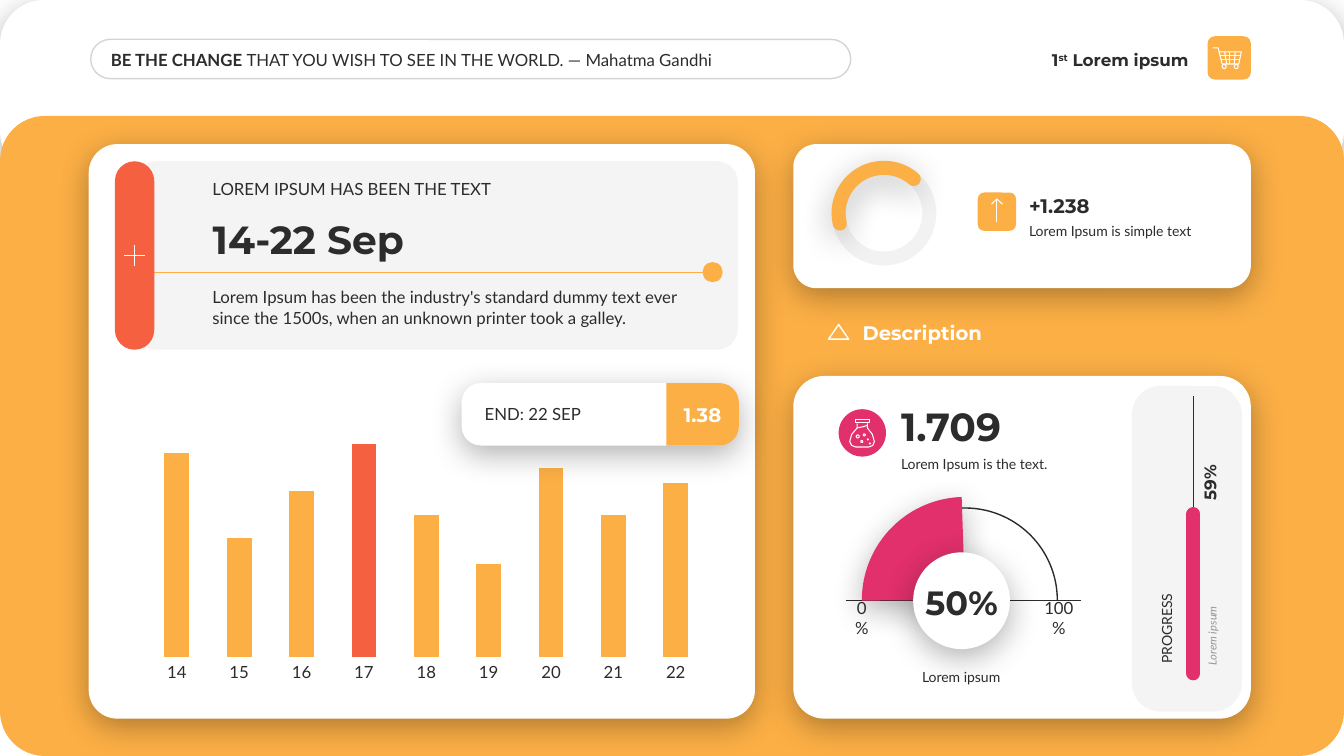
import math
from dataclasses import dataclass
from typing import Optional

from lxml import etree
from pptx import Presentation
from pptx import util as u
from pptx.chart import data
from pptx.dml import color
from pptx.enum import chart as ch, shapes, text
from pptx.oxml import ns, parse_xml

COLUMNS, ROWS = 160, 90
CELL = u.Inches(7.5) / ROWS
COLORS = {"white": "FFFFFF", "ink": "2C2C2C", "amber": "FCAF45", "coral": "F56040",
          "pink": "E1306C", "grey": "969696", "black": "000000"}
KIND = shapes.MSO_SHAPE
ROUND, OVAL, ARC = KIND.ROUNDED_RECTANGLE, KIND.OVAL, KIND.ARC
TOP, MIDDLE, BOTTOM = text.MSO_ANCHOR.TOP, text.MSO_ANCHOR.MIDDLE, text.MSO_ANCHOR.BOTTOM
LEFT, CENTER, RIGHT = text.PP_ALIGN.LEFT, text.PP_ALIGN.CENTER, text.PP_ALIGN.RIGHT


@dataclass
class Panel:
    box: tuple
    kind: int = ROUND
    fill: Optional[str] = None
    alpha: int = 100
    adjust: tuple = ()
    line: Optional[str] = None
    width: float = 1
    shadow: bool = False
    rounded_cap: bool = False
    turn: int = 0


@dataclass
class Rail:
    start: tuple
    end: tuple
    tint: str
    width: float
    rounded_cap: bool = False


@dataclass
class Run:
    words: str
    bold: bool = False
    baseline: int = 0


def cells(*values: float) -> list:
    return [u.Emu(round(value * CELL)) for value in values]


def rgb(name: str) -> color.RGBColor:
    return color.RGBColor.from_string(COLORS[name])


def set_cap(shape) -> None:
    shape.element.spPr.find(ns.qn("a:ln")).set("cap", "rnd")


def draw_panel(slide, panel: Panel) -> None:
    shape = slide.shapes.add_shape(panel.kind, *cells(*panel.box))
    shape.rotation = panel.turn
    for index, value in enumerate(panel.adjust):
        shape.adjustments[index] = value
    if panel.fill:
        shape.fill.solid()
        shape.fill.fore_color.rgb = rgb(panel.fill)
    else:
        shape.fill.background()
    if panel.line:
        shape.line.color.rgb = rgb(panel.line)
        shape.line.width = u.Pt(panel.width)
    else:
        shape.line.fill.background()
    if panel.rounded_cap:
        set_cap(shape)
    properties = shape.element.spPr
    if panel.alpha < 100:
        for tint in properties.iter(ns.qn("a:srgbClr")):
            etree.SubElement(tint, ns.qn("a:alpha"), val=str(panel.alpha * 1000))
    shape.shadow.inherit = False
    if panel.shadow:
        effects = properties.find(ns.qn("a:effectLst"))
        outer = etree.SubElement(effects, ns.qn("a:outerShdw"), blurRad=str(u.Pt(23)),
                                 dist=str(u.Pt(6)), dir="5400000", algn="t", rotWithShape="0")
        tint = etree.SubElement(outer, ns.qn("a:srgbClr"), val=COLORS["black"])
        etree.SubElement(tint, ns.qn("a:alpha"), val="30000")


def draw_rail(slide, rail: Rail) -> None:
    line = slide.shapes.add_connector(shapes.MSO_CONNECTOR.STRAIGHT, *cells(*rail.start, *rail.end))
    line.line.color.rgb = rgb(rail.tint)
    line.line.width = u.Pt(rail.width)
    if rail.rounded_cap:
        set_cap(line)
    etree.SubElement(line.element.spPr, ns.qn("a:effectLst"))


def circle(x: float, y: float, radius: float) -> list:
    angles = [math.tau * step / 12 for step in range(13)]
    return [(x + radius * math.cos(a), y + radius * math.sin(a)) for a in angles]


def draw_icon(slide, strokes: list) -> None:
    first, *others = [[tuple(cells(*point)) for point in stroke] for stroke in strokes]
    builder = slide.shapes.build_freeform(*first[0])
    builder.add_line_segments(first[1:], close=False)
    for stroke in others:
        builder.move_to(*stroke[0])
        builder.add_line_segments(stroke[1:], close=False)
    icon = builder.convert_to_shape()
    icon.fill.background()
    icon.line.color.rgb = rgb("white")
    icon.line.width = u.Pt(0.75)
    icon.shadow.inherit = False


def write(slide, box: tuple, *runs: Run, size: float = 12, font: str = "Lato", tint: str = "ink",
          anchor=TOP, align=LEFT, insets: tuple = (0.1, 0.05, 0.1, 0.05), italic: bool = False,
          turn: int = 0, after: float = 0, title: bool = False) -> None:
    if title:
        label = slide.shapes.title
        slide.shapes.element.append(label.element)
        label.left, label.top, label.width, label.height = cells(*box)
    else:
        label = slide.shapes.add_textbox(*cells(*box))
    label.rotation = turn
    frame = label.text_frame
    frame.word_wrap = True
    frame.auto_size = text.MSO_AUTO_SIZE.NONE
    frame.vertical_anchor = anchor
    (frame.margin_left, frame.margin_top,
     frame.margin_right, frame.margin_bottom) = map(u.Inches, insets)
    paragraph = frame.paragraphs[0]
    paragraph.alignment = align
    paragraph.space_after = u.Pt(after)
    for part in runs:
        run = paragraph.add_run()
        run.text = part.words
        run.font.size, run.font.name = u.Pt(size), font
        run.font.bold, run.font.italic = part.bold, italic
        run.font.color.rgb = rgb(tint)
    for part, properties in zip(runs, label.element.iter(ns.qn("a:rPr"))):
        if part.baseline:
            properties.set("baseline", str(part.baseline * 1000))


def draw_days(slide) -> None:
    days = data.CategoryChartData()
    days.categories = [str(day) for day in range(14, 23)]
    days.add_series("Series 1", (96, 56, 78, 100, 67, 44, 89, 67, 82))
    chart = slide.shapes.add_chart(ch.XL_CHART_TYPE.COLUMN_CLUSTERED,
                                   *cells(15.96, 49.32, 69.6, 32.52), days).chart
    chart.has_legend = chart.has_title = False
    chart.font.size, chart.font.name = u.Pt(12), "Lato"
    chart.font.color.rgb = rgb("ink")
    chart.value_axis.visible = chart.value_axis.has_major_gridlines = False
    chart.value_axis.minimum_scale, chart.value_axis.maximum_scale = 0, 100
    chart.category_axis.major_tick_mark = ch.XL_TICK_MARK.NONE
    chart.category_axis.format.line.fill.background()
    plot = chart.plots[0]
    plot.gap_width, plot.vary_by_categories = 150, False
    bars = plot.series[0]
    for fill, tint in ((bars.format.fill, "amber"), (bars.points[3].format.fill, "coral")):
        fill.solid()
        fill.fore_color.rgb = rgb(tint)
    area = chart.element.find(".//" + ns.qn("c:plotArea"))
    for layout in area.findall(ns.qn("c:layout")):
        area.remove(layout)
    area.insert(0, parse_xml(
        f'<c:layout {ns.nsdecls("c")}><c:manualLayout><c:layoutTarget val="inner"/>'
        '<c:xMode val="edge"/><c:yMode val="edge"/><c:x val="0.02"/><c:y val="0.11"/>'
        '<c:w val="0.96"/><c:h val="0.78"/></c:manualLayout></c:layout>'))


CARDS = [
    Panel((0, 0, COLUMNS, 20.88), fill="white", adjust=(0.25,), shadow=True),
    Panel((0, 13.8, COLUMNS, 76.2), fill="amber", adjust=(0.07,)),
    Panel((10.8, 4.68, 90.48, 4.68), adjust=(0.5,), line="ink", alpha=20),
    Panel((143.76, 4.32, 5.16, 5.16), fill="amber"),
    Panel((10.56, 17.16, 79.32, 68.4), fill="white", adjust=(0.05,), shadow=True),
    Panel((16.08, 19.2, 71.76, 22.44), fill="ink", alpha=5, adjust=(0.11,)),
    Panel((94.44, 17.16, 54.48, 17.16), fill="white", adjust=(0.16,), shadow=True),
    Panel((99.84, 19.98, 10.8, 10.8), OVAL, line="ink", width=10, alpha=5),
    Panel((99.84, 19.98, 10.8, 10.8), ARC, adjust=(100.01, 186.69), line="amber", width=10,
          shadow=True, rounded_cap=True),
    Panel((116.4, 22.92, 4.56, 4.56), fill="amber"),
    Panel((98.64, 38.64, 2.4, 1.74), KIND.ISOSCELES_TRIANGLE, line="white"),
    Panel((94.44, 44.76, 54.48, 40.8), fill="white", adjust=(0.09,), shadow=True),
    Panel((134.76, 45.96, 13.08, 38.76), fill="ink", alpha=5, adjust=(0.26,)),
    Panel((99.84, 48.72, 5.64, 5.64), OVAL, fill="pink"),
    Panel((103.92, 60.48, 21.96, 21.96), ARC, adjust=(107.89, 0), line="ink"),
]
RAILS = [
    Rail((17.28, 32.4), (83.64, 32.4), "amber", 0.5),
    Rail((100.68, 71.52), (128.64, 71.52), "ink", 1),
    Rail((142.08, 80.16), (142.08, 47.16), "ink", 0.5),
    Rail((142.08, 80.16), (142.08, 61.2), "pink", 10, True),
]
OVERLAYS = [
    Panel((83.64, 31.2, 2.4, 2.4), OVAL, fill="amber"),
    Panel((13.68, 19.2, 4.68, 22.44), fill="coral", adjust=(0.5,)),
    Panel((54.96, 45.6, 32.88, 7.44), fill="white", adjust=(0.31,), shadow=True),
    Panel((79.92, 45, 7.44, 8.64), KIND.ROUND_2_SAME_RECTANGLE, fill="amber",
          adjust=(0.31, 0), turn=90),
    Panel((102.6, 59.16, 24.6, 24.6), ARC, fill="pink", adjust=(107.89, 160.84), shadow=True),
    Panel((108.72, 65.76, 11.52, 11.52), OVAL, fill="white", shadow=True),
]
CART = [
    [(144.36, 5.7), (145.02, 5.7), (145.5, 7.62), (147.48, 7.62), (147.78, 6.18), (145.14, 6.18)],
    [(145.26, 6.66), (147.66, 6.66)], [(145.38, 7.14), (147.6, 7.14)],
    [(145.8, 6.18), (146.04, 7.62)], [(146.4, 6.18), (146.4, 7.62)],
    [(147.06, 6.18), (146.94, 7.62)], circle(145.74, 7.92, 0.24), circle(147.18, 7.92, 0.24),
]
PLUS = [[(14.76, 30.42), (17.28, 30.42)], [(16.02, 29.16), (16.02, 31.68)]]
ARROW = [[(118.68, 26.4), (118.68, 23.7)], [(118.02, 24.3), (118.68, 23.7), (119.34, 24.3)]]
FLASK = [
    [(101.82, 49.98), (103.5, 49.98), (103.5, 50.34), (101.82, 50.34), (101.82, 49.98)],
    [(102.06, 50.4), (102.06, 50.94), (101.4, 51.72), (101.16, 52.56), (101.4, 53.04),
     (101.88, 53.22), (103.44, 53.22), (103.92, 53.04), (104.1, 52.56), (103.86, 51.72),
     (103.26, 50.94), (103.26, 50.4)],
    [(102.06, 50.94), (102.72, 50.82), (103.26, 50.64)],
    circle(102.12, 51.96, 0.18), circle(102.9, 51.78, 0.12), circle(102.6, 52.56, 0.12),
    circle(103.32, 52.32, 0.06), circle(103.56, 52.8, 0.06),
]
TIGHT, FLUSH, NONE = (0.04, 0.05, 0.04, 0.05), (0, 0.05, 0, 0.05), (0, 0, 0, 0)
BRAND = {"font": "Montserrat"}
LABELS = [
    ((12.72, 5.28, 87.12, 3.6), [Run("BE THE CHANGE ", True), Run(
        "THAT YOU WISH TO SEE IN THE WORLD. ― Mahatma Gandhi")], {"anchor": MIDDLE, "insets": TIGHT}),
    ((118.68, 5.28, 24, 3.6), [Run("1", True), Run("st", True, 30), Run(" Lorem ipsum", True)],
     BRAND | {"anchor": MIDDLE, "align": RIGHT}),
    ((24.12, 20.64, 61.2, 3.6), [Run("LOREM IPSUM HAS BEEN THE TEXT")], {"anchor": BOTTOM}),
    ((24.12, 24.96, 61.2, 6.84), [Run("14-22 Sep", True)],
     BRAND | {"size": 28, "anchor": BOTTOM, "title": True}),
    ((24.12, 33.6, 61.2, 6), [Run("Lorem Ipsum has been the industry's standard dummy text ever "
                                  "since the 1500s, when an unknown printer took a galley.")], {"after": 6}),
    ((56.52, 47.52, 23.52, 3.6), [Run("END: 22 SEP")], {"anchor": MIDDLE}),
    ((79.32, 47.28, 8.64, 4.08), [Run("1.38", True)],
     BRAND | {"size": 14, "tint": "white", "anchor": MIDDLE, "align": CENTER, "insets": TIGHT}),
    ((122.52, 22.44, 23.64, 4.08), [Run("+1.238", True)],
     BRAND | {"size": 14, "anchor": BOTTOM, "insets": FLUSH}),
    ((122.52, 25.92, 23.64, 3.24), [Run("Lorem Ipsum is simple text")], {"size": 10, "insets": FLUSH}),
    ((101.52, 37.56, 39.6, 4.08), [Run("Description", True)],
     BRAND | {"size": 14, "tint": "white", "anchor": MIDDLE}),
    ((106.08, 47.28, 21.48, 6.84), [Run("1.709", True)], BRAND | {"size": 28, "anchor": BOTTOM}),
    ((106.08, 53.64, 21.48, 3.24), [Run("Lorem Ipsum is the text.")], {"size": 10}),
    ((101.4, 72.48, 2.4, 2.04), [Run("0%")], {"anchor": MIDDLE, "align": CENTER, "insets": NONE}),
    ((123.84, 72.48, 4.44, 2.04), [Run("100%")], {"anchor": MIDDLE, "align": CENTER, "insets": NONE}),
    ((108, 68.64, 12.96, 6), [Run("50%", True)],
     BRAND | {"size": 24, "anchor": BOTTOM, "align": CENTER}),
    ((99.96, 78.96, 28.92, 3.24), [Run("Lorem ipsum")], {"size": 10, "align": CENTER, "after": 6}),
    ((132.84, 67.2, 23.04, 2.88), [Run("Lorem ipsum")],
     {"size": 8, "tint": "grey", "italic": True, "turn": 270, "insets": (0.08, 0.05, 0.1, 0.05)}),
    ((138.12, 53.04, 11.76, 3.6), [Run("59%", True)],
     BRAND | {"anchor": BOTTOM, "turn": 270, "insets": (0.1, 0.05, 0.04, 0.05)}),
    ((127.32, 67.08, 23.04, 3.24), [Run("PROGRESS")], {"size": 10, "anchor": BOTTOM, "turn": 270}),
]


def main() -> None:
    deck = Presentation()
    deck.slide_width, deck.slide_height = cells(COLUMNS, ROWS)
    slide = deck.slides.add_slide(deck.slide_layouts[5])
    for card in CARDS:
        draw_panel(slide, card)
    for rail in RAILS:
        draw_rail(slide, rail)
    draw_days(slide)
    for overlay in OVERLAYS:
        draw_panel(slide, overlay)
    for strokes in (CART, PLUS, ARROW, FLASK):
        draw_icon(slide, strokes)
    for box, runs, style in LABELS:
        write(slide, box, *runs, **style)
    deck.save("out.pptx")


if __name__ == "__main__":
    main()
